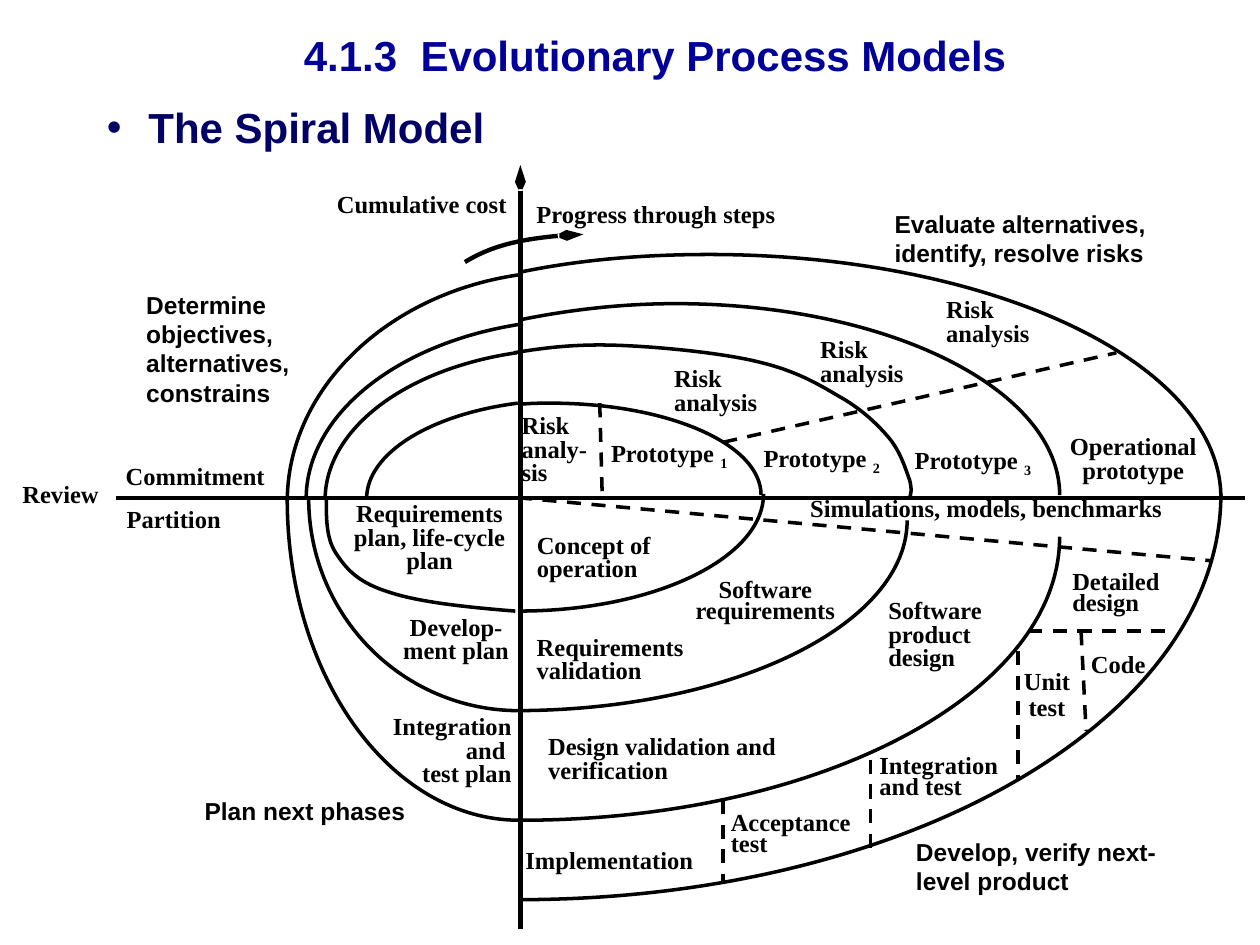
from dataclasses import dataclass

from lxml.etree import SubElement
from pptx import Presentation
from pptx.dml.color import RGBColor
from pptx.enum.dml import MSO_LINE
from pptx.enum.shapes import MSO_CONNECTOR
from pptx.enum.text import MSO_ANCHOR, PP_ALIGN
from pptx.oxml.ns import qn
from pptx.util import Inches, Pt

COLORS = {"title": "000099", "heading": "000066", "ink": "000000"}
SERIF, SANS = "Times New Roman", "Arial"
LEFT, CENTER, RIGHT = PP_ALIGN.LEFT, PP_ALIGN.CENTER, PP_ALIGN.RIGHT

Point = tuple[float, float]


@dataclass
class Label:
    text: str
    box: tuple[float, float, float, float]
    align: PP_ALIGN = LEFT
    spacing: float = 0.8
    font: str = SERIF
    subscript: str = ""
    inset: float = 0.02


@dataclass
class Segment:
    start: Point
    end: Point
    width: float = 2
    dashed: bool = True
    arrow: bool = False


AXES = [
    Segment((0.92, 3.95), (9.88, 3.95), 2.5, dashed=False),
    Segment((4.13, 7.37), (4.13, 1.31), 2.5, dashed=False, arrow=True),
]

DIVIDERS = [
    Segment((4.76, 3.2), (4.78, 3.95)),
    Segment((4.11, 3.95), (9.61, 4.45)),
    Segment((5.74, 3.51), (8.86, 2.8)),
    Segment((8.16, 5.01), (9.33, 5.01)),
    Segment((8.58, 5.01), (8.62, 5.8)),
    Segment((8.08, 5.17), (8.08, 6.2)),
    Segment((6.91, 6.03), (6.91, 6.78)),
    Segment((5.74, 6.35), (5.74, 7.02)),
]

# Each arc is a start point followed by triples of cubic Bezier points
SPIRAL_ARCS = [
    # First cycle
    [(2.91, 3.96), (2.91, 3.6), (3.41, 3.29), (4.11, 3.2)],
    [(4.12, 3.21), (4.21, 3.2), (4.29, 3.2), (4.37, 3.2),
     (5.29, 3.2), (6.04, 3.52), (6.04, 3.93)],
    [(6.06, 3.92), (6.06, 4.43), (5.19, 4.85), (4.12, 4.85)],
    [(4.09, 4.85), (3.71, 4.82), (3.33, 4.78), (3.09, 4.7),
     (2.86, 4.63), (2.76, 4.53), (2.68, 4.41),
     (2.59, 4.29), (2.59, 4.13), (2.59, 3.97)],
    # Second cycle
    [(2.58, 3.97), (2.58, 3.41), (3.21, 2.93), (4.1, 2.8)],
    [(4.08, 2.8), (4.32, 2.76), (4.56, 2.73), (4.88, 2.74),
     (5.21, 2.75), (5.72, 2.8), (6.01, 2.87),
     (6.31, 2.94), (6.48, 3.04), (6.65, 3.14),
     (6.83, 3.24), (6.96, 3.36), (7.06, 3.48),
     (7.15, 3.59), (7.19, 3.73), (7.22, 3.81),
     (7.24, 3.89), (7.23, 3.92), (7.22, 3.95)],
    [(7.2, 4.13), (7.2, 4.95), (5.84, 5.63), (4.13, 5.64)],
    [(4.12, 5.64), (3.2, 5.64), (2.45, 4.89), (2.45, 3.95)],
    # Third cycle
    [(2.43, 3.96), (2.43, 3.3), (3.14, 2.72), (4.15, 2.57)],
    [(4.12, 2.54), (4.51, 2.46), (4.93, 2.41), (5.36, 2.41),
     (7.05, 2.41), (8.41, 3.09), (8.41, 3.93)],
    [(8.41, 4.26), (8.41, 5.5), (6.51, 6.51), (4.13, 6.51)],
    [(4.12, 6.51), (3.11, 6.51), (2.28, 5.38), (2.28, 3.96)],
    # Fourth cycle
    [(2.28, 3.98), (2.28, 3.1), (3.06, 2.33), (4.13, 2.18)],
    [(4.13, 2.16), (4.61, 2.06), (5.12, 2.02), (5.63, 2.02),
     (7.87, 2.02), (9.69, 2.88), (9.69, 3.95)],
    [(9.69, 3.92), (9.69, 5.7), (7.21, 7.14), (4.12, 7.14)],
]
PROGRESS_ARROW = [(3.69, 2.08), (3.9, 1.95), (4.25, 1.87), (4.63, 1.86)]

LABELS = [
    # Axis captions
    Label("Review", (0.08, 3.75, 1, 0.33), spacing=1, inset=0.1),
    Label("Commitment", (0.76, 3.61, 1.58, 0.33), CENTER, 1),
    Label("Partition", (0.88, 3.95, 1, 0.33), CENTER, 1),
    Label("Cumulative cost", (2.2, 1.45, 1.92, 0.33), RIGHT, 1, inset=0.1),
    Label("Progress through steps", (4.16, 1.53, 2.5, 0.33), spacing=1, inset=0.1),
    # Quadrant captions
    Label("Determine objectives, alternatives, constrains",
          (1.14, 2.25, 1.5, 1.03), spacing=1, font=SANS),
    Label("Evaluate alternatives, identify, resolve risks",
          (7.08, 1.61, 2.5, 0.57), spacing=1, font=SANS),
    Label("Develop, verify next-level product",
          (7.25, 6.59, 2, 0.57), spacing=1, font=SANS),
    Label("Plan next phases", (1.42, 6.27, 2, 0.33), CENTER, 1, SANS),
    # Risk analysis and prototypes
    Label("Risk analy-sis", (4.12, 3.25, 0.67, 0.66)),
    Label("Risk analysis", (5.33, 2.88, 1, 0.47)),
    Label("Risk analysis", (6.49, 2.65, 1, 0.47)),
    Label("Risk analysis", (7.49, 2.33, 1, 0.47)),
    Label("Prototype ", (4.83, 3.45, 1.33, 0.29), subscript="1"),
    Label("Prototype ", (6.04, 3.49, 1.33, 0.29), subscript="2"),
    Label("Prototype ", (7.24, 3.51, 1.33, 0.29), subscript="3"),
    Label("Operational prototype", (8.33, 3.42, 1.33, 0.47), CENTER),
    Label("Simulations, models, benchmarks", (6.41, 3.91, 3.42, 0.29)),
    # Plans
    Label("Requirements plan, life-cycle plan", (2.66, 3.95, 1.5, 0.66), CENTER),
    Label("Develop-ment plan", (3.08, 4.85, 1.08, 0.47), CENTER),
    Label("Integration and \ntest plan", (2.83, 5.64, 1.25, 0.66), RIGHT),
    # Development work
    Label("Concept of operation", (4.24, 4.2, 1.25, 0.47)),
    Label("Software requirements", (5.41, 4.57, 1.33, 0.43), CENTER, 0.7),
    Label("Requirements validation", (4.24, 5.01, 1.5, 0.47)),
    Label("Software product design", (7.03, 4.72, 1, 0.66)),
    Label("Design validation and verification", (4.33, 5.8, 1.92, 0.47)),
    Label("Detailed design", (8.49, 4.51, 0.92, 0.43), spacing=0.7),
    Label("Code", (8.54, 5.13, 0.67, 0.42), CENTER, 0.9),
    Label("Unit test", (8.06, 5.26, 0.5, 0.67), CENTER, 0.9),
    Label("Integration and test", (6.96, 5.97, 1.33, 0.43), spacing=0.7),
    Label("Acceptance\ntest", (5.78, 6.42, 1.33, 0.43), spacing=0.7),
    Label("Implementation", (4.15, 6.72, 1.58, 0.26), spacing=0.7),
]


def format_font(font, name: str, size: float, color: str) -> None:
    font.name, font.size, font.bold = name, Pt(size), True
    font.color.rgb = RGBColor.from_string(COLORS[color])


def format_line(line, width: float, arrow: bool = False) -> None:
    line.color.rgb = RGBColor.from_string(COLORS["ink"])
    line.width = Pt(width)
    if arrow:
        SubElement(line._get_or_add_ln(), qn("a:tailEnd"), type="arrow", w="sm", len="lg")


def draw_segment(slide, segment: Segment) -> None:
    ends = [Inches(v) for v in segment.start + segment.end]
    connector = slide.shapes.add_connector(MSO_CONNECTOR.STRAIGHT, *ends)
    if segment.dashed:
        connector.line.dash_style = MSO_LINE.DASH
    format_line(connector.line, segment.width, segment.arrow)
    SubElement(connector._element.spPr, qn("a:effectLst"))


def draw_arc(slide, controls: list[Point], width: float = 2, arrow: bool = False) -> None:
    points = [(Inches(x), Inches(y)) for x, y in controls]
    builder = slide.shapes.build_freeform(*points[0])
    builder.add_line_segments(points[1:], close=False)
    arc = builder.convert_to_shape()
    # Turn every three straight steps into one cubic curve
    steps = list(arc._element.iter(qn("a:lnTo")))
    outline = steps[0].getparent()
    for i in range(0, len(steps), 3):
        curve = SubElement(outline, qn("a:cubicBezTo"))
        for step in steps[i:i + 3]:
            curve.append(step[0])
            outline.remove(step)
    arc.fill.background()
    arc.shadow.inherit = False
    format_line(arc.line, width, arrow)


def draw_label(slide, label: Label) -> None:
    frame = slide.shapes.add_textbox(*map(Inches, label.box)).text_frame
    frame.word_wrap = True
    frame.margin_left = frame.margin_right = Inches(label.inset)
    frame.text = label.text
    if label.subscript:
        run = frame.paragraphs[0].add_run()
        run.text = label.subscript
        run.font._element.set("baseline", "-25000")
    for paragraph in frame.paragraphs:
        paragraph.alignment, paragraph.line_spacing = label.align, label.spacing
        for run in paragraph.runs:
            format_font(run.font, label.font, 14, "ink")


def draw_headings(slide) -> None:
    title = slide.shapes.title
    title.left, title.top, title.width, title.height = map(Inches, (0.9, -0.03, 8.6, 0.93))
    title.text_frame.text = "4.1.3  Evolutionary Process Models"
    title.text_frame.vertical_anchor = MSO_ANCHOR.MIDDLE
    title.text_frame.paragraphs[0].alignment = CENTER
    format_font(title.text_frame.paragraphs[0].runs[0].font, SANS, 24, "title")

    subtitle = slide.shapes.add_textbox(*map(Inches, (0.75, 0.76, 3.54, 0.5)))
    subtitle.text_frame.word_wrap = True
    bullet = subtitle.text_frame.paragraphs[0]
    bullet.text = "The Spiral Model"
    format_font(bullet.runs[0].font, SANS, 24, "heading")
    properties = bullet._p.get_or_add_pPr()
    properties.set("marL", str(Inches(0.33)))
    properties.set("indent", str(-Inches(0.33)))
    SubElement(properties, qn("a:buFont"), typeface=SANS)
    SubElement(properties, qn("a:buChar"), char="•")


def main() -> None:
    deck = Presentation()
    deck.slide_width, deck.slide_height = Inches(10), Inches(7.5)
    slide = deck.slides.add_slide(deck.slide_layouts[5])
    draw_headings(slide)
    for segment in AXES + DIVIDERS:
        draw_segment(slide, segment)
    for arc in SPIRAL_ARCS:
        draw_arc(slide, arc)
    draw_arc(slide, PROGRESS_ARROW, 2.5, arrow=True)
    for label in LABELS:
        draw_label(slide, label)
    deck.save("out.pptx")


if __name__ == "__main__":
    main()
